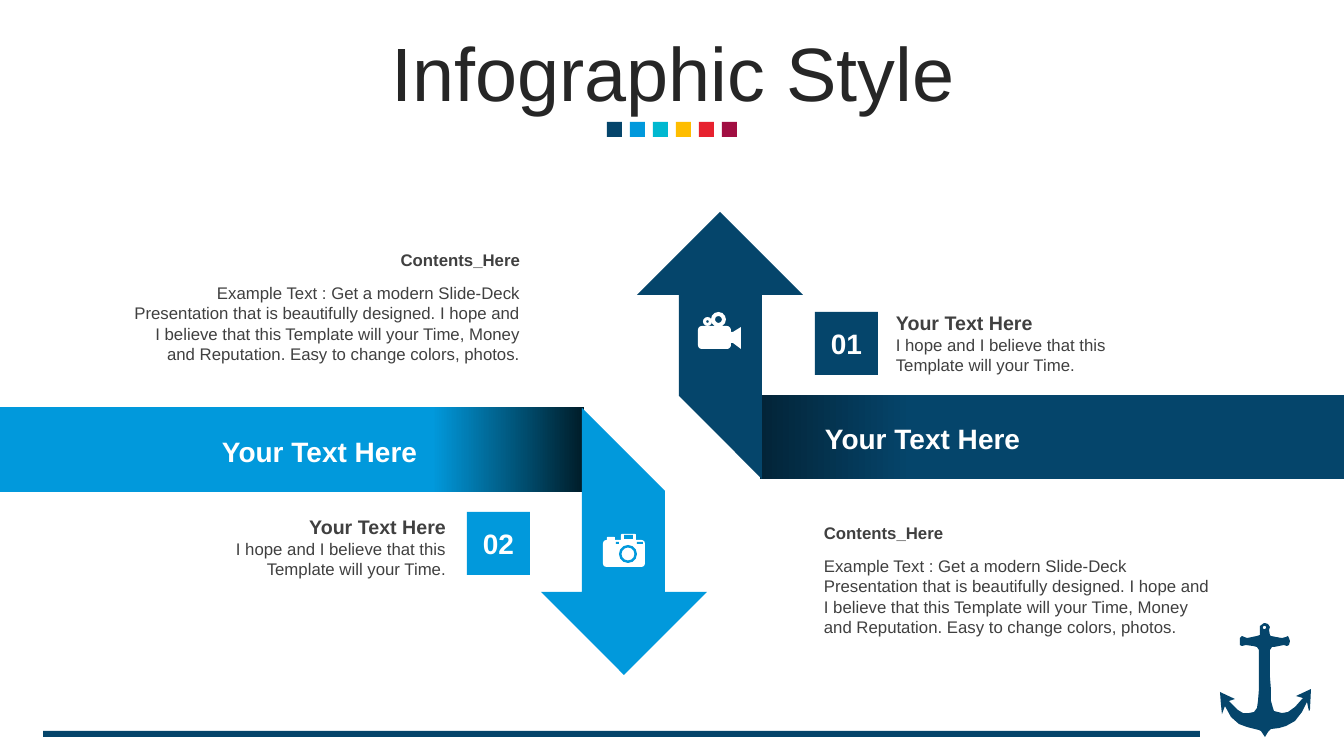
from copy import deepcopy

from pptx import Presentation
from pptx.dml.color import RGBColor
from pptx.enum.shapes import MSO_SHAPE
from pptx.enum.text import MSO_ANCHOR, MSO_AUTO_SIZE, PP_ALIGN
from pptx.oxml.ns import qn
from pptx.util import Pt

RECT = MSO_SHAPE.RECTANGLE
ROUNDED = MSO_SHAPE.ROUNDED_RECTANGLE
OVAL = MSO_SHAPE.OVAL
DONUT = MSO_SHAPE.DONUT
LEFT, CENTER, RIGHT = PP_ALIGN.LEFT, PP_ALIGN.CENTER, PP_ALIGN.RIGHT
MIDDLE = MSO_ANCHOR.MIDDLE
NO_AUTOSIZE = MSO_AUTO_SIZE.NONE

EMU_PER_PX = 914400 / 100.8
SLIDE_W, SLIDE_H = 1344, 756
FONT = "Arial"
NAVY, BLUE, WHITE, GRAY = "05456B", "0199DC", "FFFFFF", "404040"
PALETTE = [NAVY, BLUE, "00B8D0", "FEBD00", "E7222F", "A10E42"]

HEADING = "Your Text Here"
SUMMARY = "I hope and I believe that this Template will your Time."
CONTENTS = "Contents_Here"
EXAMPLE = ("Example Text : Get a modern Slide-Deck Presentation that is "
           "beautifully designed. I hope and I believe that this Template will "
           "your Time, Money and Reputation. Easy to change colors, photos.")

UP_ARROW = [(720, 212), (803, 295), (762, 295), (762, 479),
            (679, 396), (679, 295), (637, 295)]
DOWN_ARROW = [(SLIDE_W - x, 887 - y) for x, y in UP_ARROW]
PROJECTOR_LENS = [(730, 332), (733, 332), (741, 327),
                  (741, 349), (733, 343), (730, 343)]
ANCHOR = [
    (1265, 623), (1268, 624), (1270, 627), (1269, 630), (1270, 635),
    (1271, 636), (1276, 637), (1282, 638), (1286, 637), (1288, 636),
    (1289, 638), (1290, 641), (1289, 645), (1287, 646), (1284, 645),
    (1279, 646), (1274, 647), (1272, 647), (1270, 650), (1270, 677),
    (1271, 690), (1271, 701), (1273, 708), (1274, 711), (1282, 713),
    (1288, 712), (1295, 707), (1303, 698), (1296, 696), (1311, 689),
    (1310, 710), (1309, 711), (1307, 702), (1302, 712), (1295, 721),
    (1286, 726), (1279, 728), (1271, 729), (1268, 732), (1265, 737),
    (1261, 731), (1259, 730), (1247, 727), (1239, 724), (1231, 717),
    (1225, 706), (1222, 714), (1221, 705), (1220, 692), (1235, 699),
    (1229, 701), (1238, 710), (1243, 713), (1249, 713), (1254, 712),
    (1257, 708), (1258, 701), (1259, 689), (1259, 650), (1257, 647),
    (1253, 646), (1246, 645), (1242, 646), (1240, 645), (1240, 638),
    (1242, 636), (1247, 638), (1257, 636), (1260, 635), (1260, 626),
    (1264, 623),
]


def px(value):
    return round(value * EMU_PER_PX)


def color(hex_value):
    return RGBColor.from_string(hex_value)


def paint(shape, fill):
    shape.shadow.inherit = False
    shape.line.fill.background()
    shape.fill.solid()
    shape.fill.fore_color.rgb = color(fill)


def add_preset(slide, kind, box, fill, adjustment=None):
    shape = slide.shapes.add_shape(kind, *map(px, box))
    paint(shape, fill)
    if adjustment is not None:
        shape.adjustments[0] = adjustment
    return shape


def add_outline(slide, points, fill):
    start, *rest = points
    builder = slide.shapes.build_freeform(*start, scale=EMU_PER_PX)
    builder.add_line_segments(rest, close=True)
    paint(builder.convert_to_shape(), fill)


def write(frame, text, size, fill, bold=False, align=LEFT):
    frame.word_wrap = True
    paragraph = frame.paragraphs[0]
    paragraph.alignment = align
    run = paragraph.add_run()
    run.text = text
    run.font.name = FONT
    run.font.size = Pt(size)
    run.font.bold = bold
    run.font.color.rgb = color(fill)
    return paragraph


def add_label(slide, box, text, size, fill=GRAY, bold=False, align=LEFT):
    label = slide.shapes.add_textbox(*map(px, box))
    write(label.text_frame, text, size, fill, bold, align)


def add_title(slide):
    title = slide.shapes.title
    title.left, title.top, title.width, title.height = map(px, (35, 37, 1276, 80))
    frame = title.text_frame
    frame.auto_size = NO_AUTOSIZE
    frame.vertical_anchor = MIDDLE
    write(frame, "Infographic Style", 54, "262626", align=CENTER).line_spacing = 0.9


def add_ribbon(slide, box, shade, fill, angle):
    ribbon = add_preset(slide, RECT, box, fill)
    ribbon.fill.gradient()
    ribbon.fill.gradient_angle = angle
    stops = ribbon.fill.gradient_stops
    for stop, position, tone in zip(stops, (0, 0.26), (shade, fill)):
        stop.position = position
        stop.color.rgb = color(tone)
    stop_list = ribbon.element.find(".//" + qn("a:gsLst"))
    last = deepcopy(stop_list[-1])
    last.set("pos", "100000")
    stop_list.append(last)


def add_badge(slide, left, top, number, fill):
    badge = add_preset(slide, RECT, (left, top, 63, 63), fill)
    frame = badge.text_frame
    frame.margin_left = frame.margin_right = 0
    frame.margin_top = frame.margin_bottom = 0
    frame.vertical_anchor = MIDDLE
    write(frame, number, 20, WHITE, True, CENTER)


def add_summary(slide, left, top, align):
    add_label(slide, (left, top, 254, 34), HEADING, 14, bold=True, align=align)
    add_label(slide, (left, top + 24, 254, 50), SUMMARY, 12, align=align)


def add_contents(slide, left, top, width, align):
    add_label(slide, (left, top, width, 30), CONTENTS, 12, bold=True, align=align)
    add_label(slide, (left, top + 33, width, 92), EXAMPLE, 12, align=align)


def add_projector(slide):
    add_preset(slide, ROUNDED, (698, 326, 33, 23), WHITE, 0.17)
    add_preset(slide, DONUT, (703, 317, 9, 9), WHITE, 0.35)
    add_preset(slide, DONUT, (711, 312, 15, 15), WHITE, 0.27)
    add_outline(slide, PROJECTOR_LENS, WHITE)


def add_camera(slide):
    add_preset(slide, ROUNDED, (603, 540, 42, 27), WHITE, 0.13)
    add_preset(slide, ROUNDED, (621, 534, 15, 8), WHITE, 0.12)
    add_preset(slide, ROUNDED, (607, 537, 8, 5), WHITE, 0.12)
    for detail in ((624, 535, 9, 4), (616, 542, 3, 2), (637, 542, 6, 2)):
        add_preset(slide, RECT, detail, BLUE)
    add_preset(slide, DONUT, (619, 545, 18, 18), BLUE, 0.14)


def main():
    prs = Presentation()
    prs.slide_width, prs.slide_height = px(SLIDE_W), px(SLIDE_H)
    slide = prs.slides.add_slide(prs.slide_layouts[5])

    add_preset(slide, RECT, (43, 731, 1157, 6), NAVY)
    add_outline(slide, ANCHOR, NAVY)
    add_preset(slide, OVAL, (1263, 626, 3, 3), WHITE)
    for index, swatch in enumerate(PALETTE):
        add_preset(slide, RECT, (607 + 23 * index, 122, 15, 15), swatch)
    add_title(slide)

    add_ribbon(slide, (0, 407, 584, 85), "001C28", BLUE, 180)
    add_outline(slide, DOWN_ARROW, BLUE)
    add_ribbon(slide, (760, 395, 584, 84), "032438", NAVY, 0)
    add_outline(slide, UP_ARROW, NAVY)
    for left, top in ((212, 430), (815, 417)):
        add_label(slide, (left, top, 342, 44), HEADING, 20, WHITE, True)

    add_badge(slide, 815, 312, "01", NAVY)
    add_summary(slide, 886, 306, LEFT)
    add_badge(slide, 467, 512, "02", BLUE)
    add_summary(slide, 202, 510, RIGHT)
    add_contents(slide, 814, 518, 414, LEFT)
    add_contents(slide, 122, 245, 408, RIGHT)
    add_projector(slide)
    add_camera(slide)

    prs.save("out.pptx")


if __name__ == "__main__":
    main()
